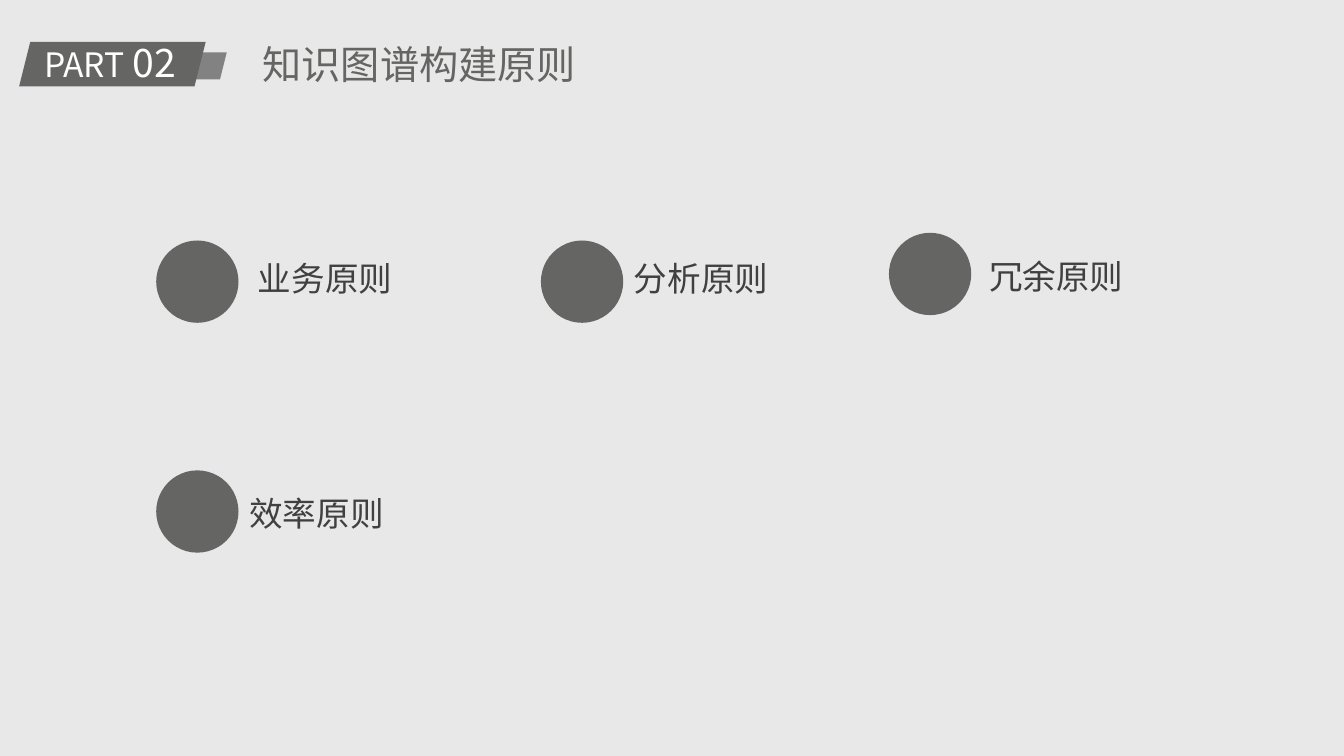
from dataclasses import dataclass

from lxml.etree import SubElement
from pptx import Presentation
from pptx.dml.color import RGBColor
from pptx.enum.shapes import MSO_SHAPE as Preset
from pptx.enum.text import MSO_ANCHOR as Anchor, MSO_AUTO_SIZE as AutoSize, PP_ALIGN as Align
from pptx.oxml.ns import qn
from pptx.shapes.base import BaseShape
from pptx.slide import Slide
from pptx.util import Pt

FONT = "Noto Sans CJK SC"
COLORS = {
    "background": "E8E8E8",
    "accent": "656564",
    "accent_light": "828282",
    "label": "404040",
    "badge_text": "FFFFFF",
}
FRAME_FORMAT = {
    "word_wrap": True,
    "auto_size": AutoSize.NONE,
    "vertical_anchor": Anchor.MIDDLE,
    "margin_left": Pt(7.2),
    "margin_right": Pt(7.2),
    "margin_top": Pt(3.6),
    "margin_bottom": Pt(3.6),
}
DOT_SIZE = 58.8
LABEL_HEIGHT = 36


@dataclass
class Box:
    left: float
    top: float
    width: float
    height: float

    def lengths(self) -> tuple[Pt, Pt, Pt, Pt]:
        return Pt(self.left), Pt(self.top), Pt(self.width), Pt(self.height)


@dataclass
class Principle:
    name: str
    dot_left: float
    dot_top: float
    label_left: float
    label_top: float
    label_width: float


@dataclass
class Piece:
    text: str
    size: float


PRINCIPLES = [
    Principle("业务原则", 111.6, 171.8, 177.1, 180.7, 160.6),
    Principle("分析原则", 386.4, 171.8, 445.7, 180.7, 194.4),
    Principle("冗余原则", 635, 166.3, 699.5, 179.3, 200),
    Principle("效率原则", 111.6, 336, 171, 348.5, 190),
]


def color(name: str) -> RGBColor:
    return RGBColor.from_string(COLORS[name])


def add_solid(slide: Slide, preset: Preset, box: Box, fill: str) -> None:
    solid = slide.shapes.add_shape(preset, *box.lengths())
    solid.shadow.inherit = False
    solid.fill.solid()
    solid.fill.fore_color.rgb = color(fill)
    solid.line.fill.background()


def write(holder: BaseShape, pieces: list[Piece], ink: str, align: Align = Align.LEFT) -> None:
    """Fill a text holder with one line, using the font for Latin and Chinese alike."""
    frame = holder.text_frame
    for attribute, value in FRAME_FORMAT.items():
        setattr(frame, attribute, value)
    line = frame.paragraphs[0]
    line.alignment = align
    line.line_spacing = 1.0
    for piece in pieces:
        run = line.add_run()
        run.text = piece.text
        for attribute, value in {"name": FONT, "size": Pt(piece.size), "bold": False}.items():
            setattr(run.font, attribute, value)
        run.font.color.rgb = color(ink)
        SubElement(run.font._element, qn("a:ea"), typeface=FONT)


def add_heading(slide: Slide) -> None:
    add_solid(slide, Preset.PARALLELOGRAM, Box(123.1, 37.4, 38.9, 19.4), "accent_light")
    add_solid(slide, Preset.PARALLELOGRAM, Box(13.7, 30, 133.2, 31.7), "accent")
    badge = slide.shapes.add_textbox(*Box(24.5, 23.8, 110.9, 41.2).lengths())
    write(badge, [Piece("PART ", 24), Piece("02", 28)], "badge_text")
    heading = slide.shapes.title
    heading.left, heading.top, heading.width, heading.height = Box(162, 25.2, 275, 41.2).lengths()
    write(heading, [Piece("知识图谱构建原则", 28)], "accent", Align.CENTER)


def add_principle(slide: Slide, principle: Principle) -> None:
    dot = Box(principle.dot_left, principle.dot_top, DOT_SIZE, DOT_SIZE)
    add_solid(slide, Preset.OVAL, dot, "accent")
    label_box = Box(principle.label_left, principle.label_top, principle.label_width, LABEL_HEIGHT)
    label = slide.shapes.add_textbox(*label_box.lengths())
    write(label, [Piece(principle.name, 24)], "label")


def main() -> None:
    deck = Presentation()
    deck.slide_width, deck.slide_height = Pt(960), Pt(540)
    slide = deck.slides.add_slide(deck.slide_layouts[5])
    slide.background.fill.solid()
    slide.background.fill.fore_color.rgb = color("background")
    add_heading(slide)
    for principle in PRINCIPLES:
        add_principle(slide, principle)
    deck.save("out.pptx")


if __name__ == "__main__":
    main()
